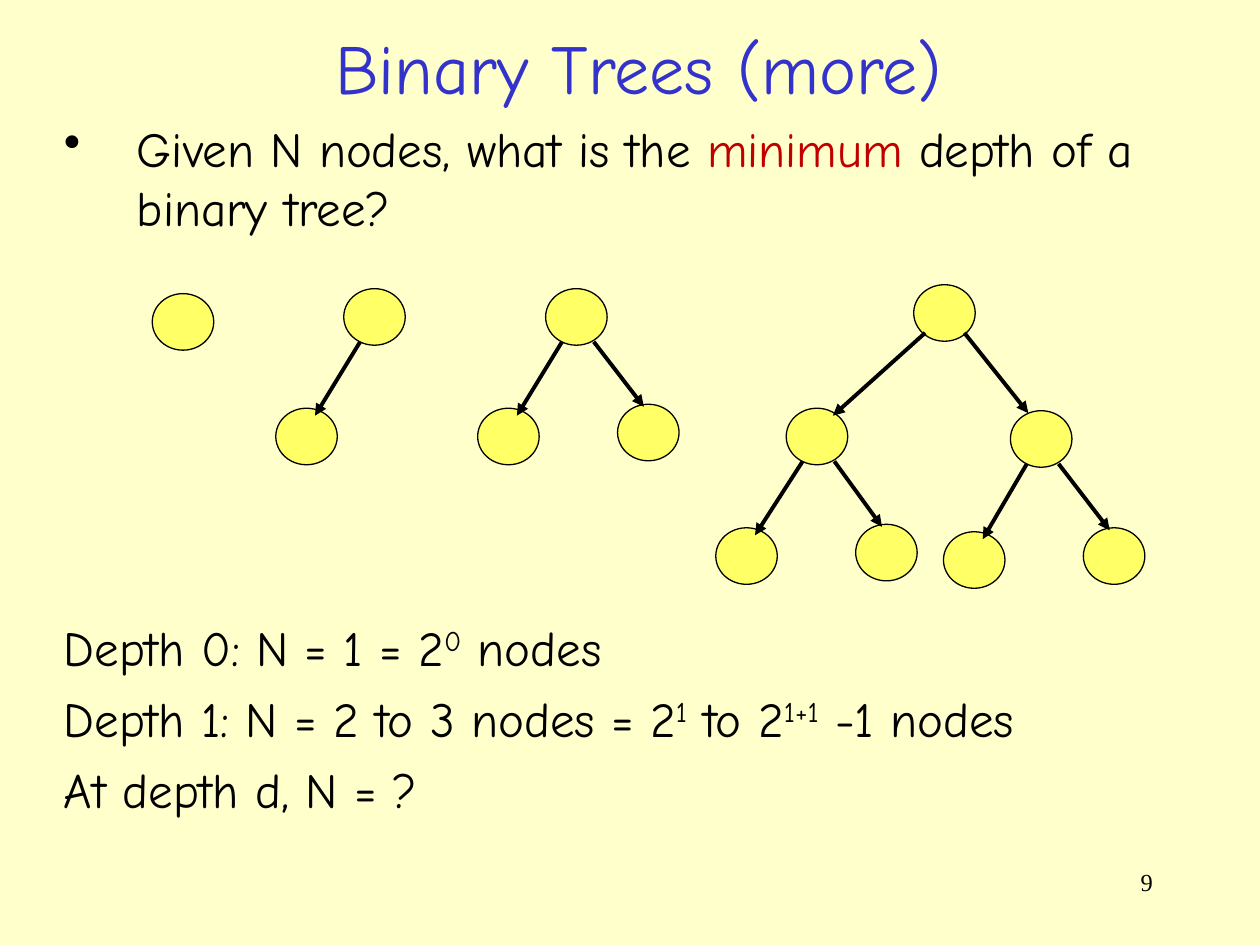
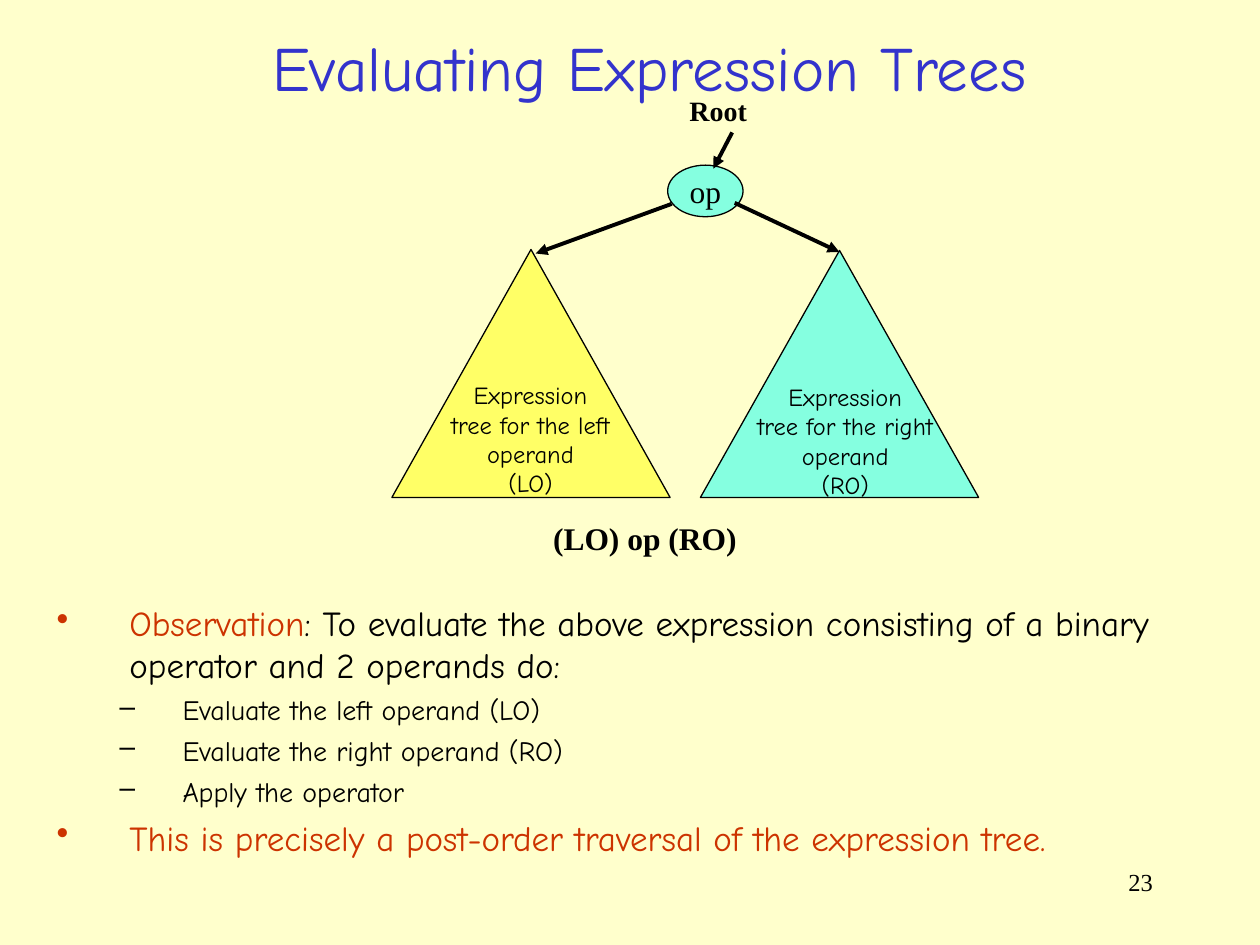
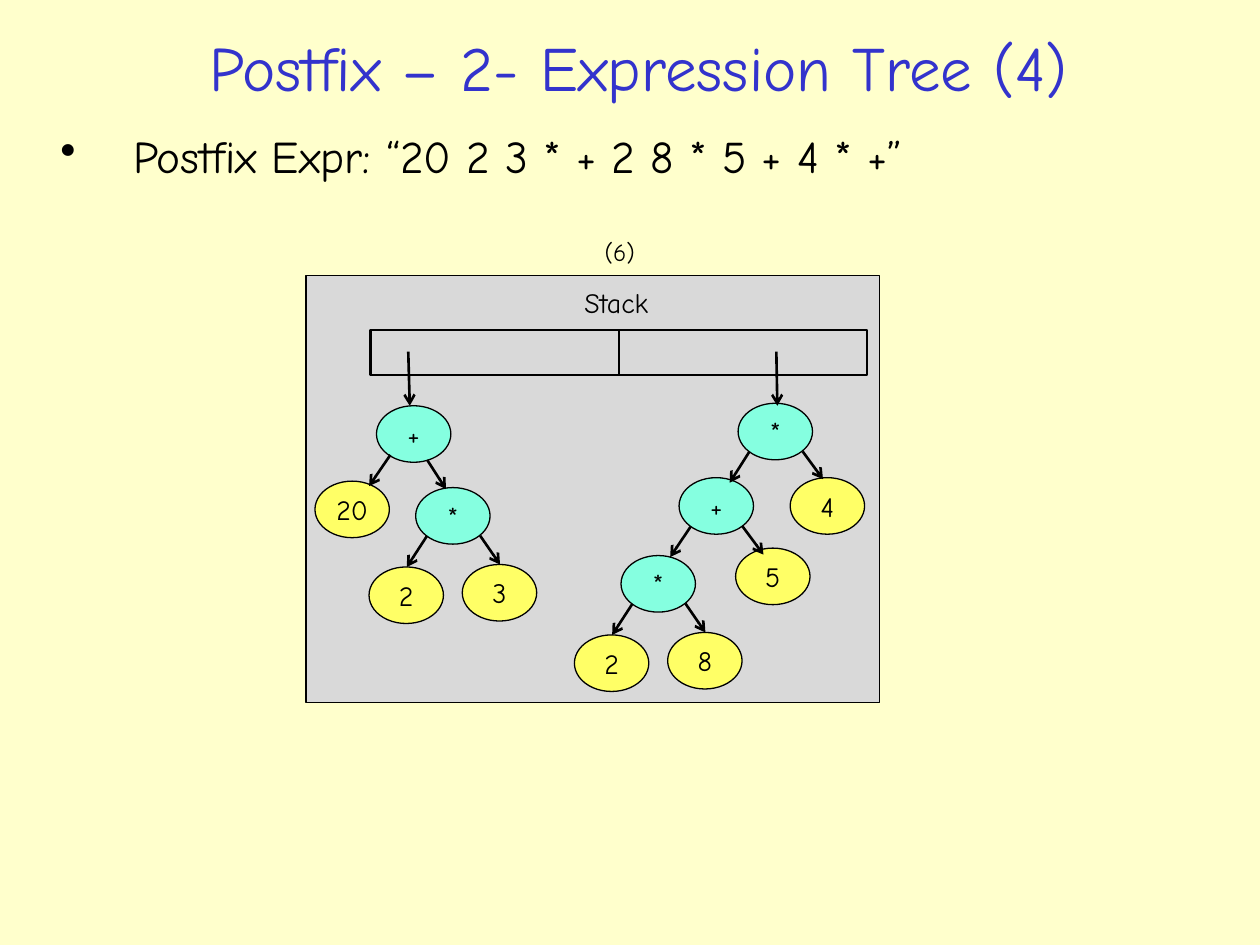
import pptx
import pptx.util
import pptx.dml.color
import pptx.enum.shapes
import pptx.enum.text
import pptx.oxml
import pptx.oxml.ns
from lxml import etree

Cm = pptx.util.Cm
Pt = pptx.util.Pt
SHAPE = pptx.enum.shapes.MSO_SHAPE
ALIGN = pptx.enum.text.PP_ALIGN
ANCHOR = pptx.enum.text.MSO_ANCHOR
FIT = pptx.enum.text.MSO_AUTO_SIZE

COMIC, TIMES = "Comic Neue", "Times New Roman"
CREAM, BLACK, BLUE = "FFFFCC", "000000", "3333CC"
RED, RUST = "C00000", "CC3300"
LEMON, AQUA, GREY = "FFFF66", "85FFE0", "D9D9D9"

DEPTH = {
    "size": (1.24, 1.14),
    "left": (0.33, 1.07, 0.79, 0.15),
    "right": (0.97, 1.07, 0.53, 0.05),
    "width": 2.25, "head": "triangle",
}
DEPTH_TREES = [
    ([(3.07, 5.92, "")], []),
    ([(6.93, 5.82, ""), (5.56, 8.23, "")], [(0, 1)]),
    ([(11, 5.82, ""), (9.63, 8.23, ""), (12.45, 8.15, "")], [(0, 1), (0, 2)]),
    ([(18.42, 5.74, ""), (15.85, 8.23, ""), (20.37, 8.28, ""),
      (14.43, 10.64, ""), (17.25, 10.57, ""), (19.02, 10.72, ""), (21.84, 10.64, "")],
     [(0, 1, 0.23, 0.97, 0.94, 0.15), (0, 2, 1.02, 0.97, 0.36, 0.05),
      (1, 3), (1, 4), (2, 5), (2, 6)]),
]
POSTFIX = {
    "size": (1.5, 1.14),
    "left": (0.23, 0.97, 0.76, 0),
    "right": (1.3, 0.97, 0.76, 0),
    "width": 1.5, "head": "arrow",
}
POSTFIX_TREES = [
    ([(7.59, 8.18, "+"), (6.35, 9.7, "20"), (8.38, 9.83, "*"),
      (7.44, 11.43, "2"), (9.32, 11.38, "3")],
     [(0, 1, 0.28, 0.99, 1.09, 0.1), (0, 2, 1.02, 1.09, 0.61, 0.03), (2, 3), (2, 4)]),
    ([(14.88, 8.13, "*"), (13.69, 9.63, "+"), (15.93, 9.63, "4"),
      (12.52, 11.2, "*"), (14.83, 11.05, "5"), (11.58, 12.8, "2"), (13.46, 12.75, "8")],
     [(0, 1, 0.23, 0.97, 1.02, 0.1), (0, 2, 1.3, 0.97, 0.66, 0.03),
      (1, 3, 0.23, 0.99, 0.99, 0.03), (1, 4, 1.27, 0.97, 0.56, 0.13), (3, 5), (3, 6)]),
]
STACK_ARROWS = [(8.23, 7.09, 8.26, 8.18), (15.65, 7.09, 15.67, 8.18)]

QUESTION = [
    [("Given N nodes, what is the ", BLACK), ("minimum", RED), (" depth of a binary tree?", BLACK)],
]
COUNTS = [
    [("Depth 0: N = 1 = 2",), ("0", BLACK, 30), (" nodes",)],
    [("Depth 1: N = 2 to 3 nodes = 2",), ("1", BLACK, 30), (" to 2",),
     ("1+1", BLACK, 30), (" -1 nodes",)],
    [("At depth d, N = ?",)],
]
STEPS = [
    (0, [("Observation", RUST),
         (": To evaluate the above expression consisting of a binary operator and 2 operands do:",)]),
    (1, [("Evaluate the left operand (LO)",)]),
    (1, [("Evaluate the right operand (RO)",)]),
    (1, [("Apply the operator",)]),
    (0, [("This is precisely a post-order traversal of the expression tree.", RUST)]),
]
FORMULA = [[("Postfix Expr: “20 2 3 * + 2 8 * 5 + 4 * +”",)]]
OPERANDS = [
    ((7.9, 5.03, 5.61, 5), LEMON, (8.84, 7.54, 3.71, 2.64), "left", "(LO)"),
    ((14.12, 5.05, 5.61, 4.98), AQUA, (15.01, 7.57, 4.06, 2.64), "right", "(RO)"),
]
ROOT_ARROWS = [
    (14.76, 2.67, 14.38, 3.4),
    (13.54, 4.11, 10.8, 5.11),
    (14.81, 4.09, 16.92, 5.08),
]


def paint(color, value):
    color.rgb = pptx.dml.color.RGBColor.from_string(value)


def style(font, size, face=COMIC, color=BLACK, bold=False):
    font.size, font.name, font.bold = Pt(size), face, bold
    paint(font.color, color)


def place(item, box):
    item.left, item.top, item.width, item.height = map(Cm, box)


def add_shape(slide, kind, box, fill=None, width=0.75):
    shape = slide.shapes.add_shape(kind, *map(Cm, box))
    shape.shadow.inherit = False
    if fill:
        shape.fill.solid()
        paint(shape.fill.fore_color, fill)
    else:
        shape.fill.background()
    shape.line.width = Pt(width)
    paint(shape.line.color, BLACK)
    return shape


def add_line(slide, ends, width, head=None):
    line = slide.shapes.add_connector(pptx.enum.shapes.MSO_CONNECTOR.STRAIGHT, *map(Cm, ends))
    line.line.width = Pt(width)
    paint(line.line.color, BLACK)
    if head:
        tail = etree.SubElement(line.line._get_or_add_ln(), pptx.oxml.ns.qn("a:tailEnd"))
        tail.set("type", head)
    etree.SubElement(line._element.spPr, pptx.oxml.ns.qn("a:effectLst"))
    return line


def write(frame, text, size, face=COMIC, bold=False, align=ALIGN.CENTER):
    frame.text = text
    for para in frame.paragraphs:
        para.alignment = align
        for run in para.runs:
            style(run.font, size, face, bold=bold)


def add_label(slide, box, text, size, face=COMIC, bold=False, align=ALIGN.LEFT):
    frame = slide.shapes.add_textbox(*map(Cm, box)).text_frame
    write(frame, text, size, face, bold, align)
    frame.word_wrap = False
    frame.auto_size = FIT.SHAPE_TO_FIT_TEXT


def add_oval(slide, box, fill, text, size, face=COMIC):
    oval = add_shape(slide, SHAPE.OVAL, box, fill)
    if text:
        write(oval.text_frame, text, size, face)
        oval.text_frame.word_wrap = False
        oval.text_frame.vertical_anchor = ANCHOR.MIDDLE


def indent(para, left, hang, mark, color):
    props = para._p.get_or_add_pPr()
    props.set("marL", str(Cm(left)))
    props.set("indent", str(-Cm(hang)))
    if mark:
        props.append(pptx.oxml.parse_xml(
            f'<a:buClr {pptx.oxml.ns.nsdecls("a")}><a:srgbClr val="{color}"/></a:buClr>'))
        etree.SubElement(props, pptx.oxml.ns.qn("a:buChar")).set("char", mark)


def add_body(slide, box, items, sizes, gaps, marks="•–"):
    frame = slide.shapes.add_textbox(*map(Cm, box)).text_frame
    frame.word_wrap = True
    for index, (level, runs) in enumerate(items):
        para = frame.add_paragraph() if index else frame.paragraphs[0]
        left, hang = [(1.47, 1.47), (2.54, 1.27)][level]
        first = runs[0][1] if len(runs[0]) > 1 else BLACK
        indent(para, left, hang, marks[level] if marks else "", first)
        para.level = level
        para.space_before = Pt(gaps[level] if index else 0)
        for text, *look in runs:
            run = para.add_run()
            run.text = text
            style(run.font, sizes[level], color=look[0] if look else BLACK)
            if len(look) > 1:
                run.font._element.set("baseline", str(look[1] * 1000))


def flat(paras):
    return [(0, runs) for runs in paras]


def add_tree(slide, kind, nodes, links):
    parents = {link[0] for link in links}
    for index, (x, y, text) in enumerate(nodes):
        fill = AQUA if text and index in parents else LEMON
        add_oval(slide, (x, y, *kind["size"]), fill, text, 16)
    for top, kid, *shift in links:
        (x1, y1, _), (x2, y2, _) = nodes[top], nodes[kid]
        dx1, dy1, dx2, dy2 = shift or kind["left" if x2 < x1 else "right"]
        add_line(slide, (x1 + dx1, y1 + dy1, x2 + dx2, y2 + dy2), kind["width"], kind["head"])


def add_slide(deck, title, size, number=None):
    slide = deck.slides.add_slide(deck.slide_layouts[5])
    head = slide.shapes.title
    place(head, (0.76, 0.38, 24.23, 1.93))
    frame = head.text_frame
    frame.text = title
    frame.auto_size = FIT.NONE
    frame.vertical_anchor = ANCHOR.MIDDLE
    frame.paragraphs[0].alignment = ALIGN.CENTER
    style(frame.paragraphs[0].runs[0].font, size, color=BLUE)
    if number:
        foot = slide.shapes.add_textbox(*map(Cm, (18.21, 17.35, 5.28, 1.27)))
        foot.text_frame.word_wrap = True
        write(foot.text_frame, number, 14, TIMES, align=ALIGN.RIGHT)
    return slide


def depth_slide(deck):
    slide = add_slide(deck, "Binary Trees (more)", 40, "9")
    add_body(slide, (1.04, 2.26, 23.65, 3.18), flat(QUESTION), [28], [7])
    add_body(slide, (1.04, 12.32, 23.37, 5.89), flat(COUNTS), [28], [7], "")
    for nodes, links in DEPTH_TREES:
        add_tree(slide, DEPTH, nodes, links)


def operand_slide(deck):
    slide = add_slide(deck, " Evaluating Expression Trees", 36, "23")
    add_oval(slide, (13.46, 3.33, 1.52, 1.04), AQUA, "op", 18, TIMES)
    add_label(slide, (13.65, 1.77, 1.8, 0.94), "Root", 16, TIMES, True)
    for ends in ROOT_ARROWS:
        add_line(slide, ends, 2.25, "triangle")
    add_label(slide, (10.9, 10.34, 4.22, 1.02), "(LO) op (RO)", 18, TIMES, True)
    add_body(slide, (0.89, 12.01, 23.98, 6.15), STEPS, [20, 16], [5, 4])
    for box, fill, spot, side, short in OPERANDS:
        add_shape(slide, SHAPE.ISOSCELES_TRIANGLE, box, fill)
        text = f"Expression\ntree for the {side}\noperand\n{short}"
        add_label(slide, spot, text, 14, align=ALIGN.CENTER)


def postfix_slide(deck):
    slide = add_slide(deck, "Postfix – 2- Expression Tree (4)", 36)
    add_body(slide, (0.97, 2.46, 23.39, 1.35), flat(FORMULA), [25.9], [7])
    add_shape(slide, SHAPE.RECTANGLE, (6.17, 5.56, 11.56, 8.61), GREY)
    stack = add_shape(slide, SHAPE.RECTANGLE, (7.47, 6.65, 10.01, 0.91), width=1.5)
    add_label(slide, (11.53, 5.64, 1.8, 0.94), "Stack", 16)
    add_label(slide, (11.94, 4.65, 1.12, 0.86), "(6)", 14)
    for nodes, links in POSTFIX_TREES:
        add_tree(slide, POSTFIX, nodes, links)
    for ends in STACK_ARROWS:
        add_line(slide, ends, 1.5, "arrow")
    split = add_line(slide, (12.48, 6.65, 12.48, 7.56), 1.5)
    split.begin_connect(stack, 0)
    split.end_connect(stack, 2)


def main():
    deck = pptx.Presentation()
    deck.slide_width, deck.slide_height = Cm(25.4), Cm(19.05)
    back = deck.slide_master.background.fill
    back.solid()
    paint(back.fore_color, CREAM)
    depth_slide(deck)
    operand_slide(deck)
    postfix_slide(deck)
    deck.save("out.pptx")


if __name__ == "__main__":
    main()
